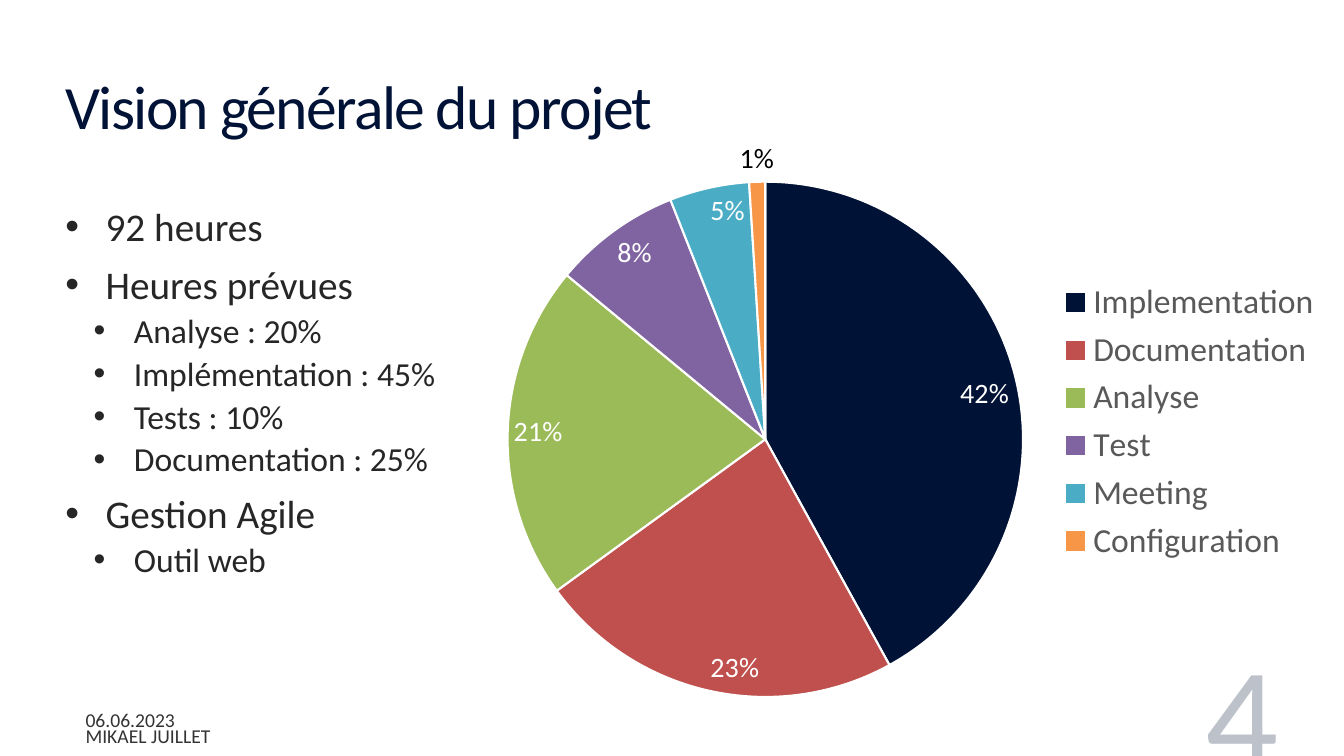
from lxml import etree
from pptx import Presentation
from pptx.chart.data import CategoryChartData
from pptx.dml.color import RGBColor
from pptx.enum.chart import XL_CHART_TYPE, XL_LABEL_POSITION, XL_LEGEND_POSITION
from pptx.enum.text import MSO_ANCHOR, PP_ALIGN
from pptx.oxml import parse_xml
from pptx.oxml.ns import nsdecls, qn
from pptx.util import Inches, Pt

FONT = "Calibri"
NAVY = "001236"


def color(value):
    return RGBColor.from_string(value)


def add_text(frame, text, size, fill, first=True, align=PP_ALIGN.LEFT, line=1.0,
             before=0, indent=None, alpha=None, spacing=None):
    para = frame.paragraphs[0] if first else frame.add_paragraph()
    if indent is not None:
        props = para._p.get_or_add_pPr()
        props.set("marL", str(Inches(indent)))
        props.set("indent", str(Inches(-0.4)))
        etree.SubElement(props, qn("a:buFont")).set("typeface", "Arial")
        etree.SubElement(props, qn("a:buChar")).set("char", "•")
    para.alignment = align
    para.line_spacing = line
    para.space_before = Pt(0 if first else before)
    span = para.add_run()
    span.text = text
    span.font.name = FONT
    span.font.size = Pt(size)
    span.font.color.rgb = color(fill)
    if alpha:
        tint = span._r.rPr.find(".//" + qn("a:srgbClr"))
        etree.SubElement(tint, qn("a:alpha")).set("val", str(alpha * 1000))
    if spacing:
        span._r.rPr.set("spc", str(int(spacing * 100)))


deck = Presentation()
deck.slide_width, deck.slide_height = Inches(13.33), Inches(7.5)
page = deck.slides.add_slide(deck.slide_layouts[6])

# Title, footer and page number
labels = [
    ("Vision générale du projet", (0.55, 0.52, 11.13, 1.15), MSO_ANCHOR.MIDDLE,
     dict(size=44, fill=NAVY, line=0.85, spacing=-1.2)),
    ("06.06.2023", (0.75, 7.01, 4.5, 0.25), MSO_ANCHOR.MIDDLE,
     dict(size=14, fill="000000", alpha=80)),
    ("MIKAEL JUILLET", (0.75, 7.17, 5.5, 0.25), MSO_ANCHOR.MIDDLE,
     dict(size=14, fill="000000", alpha=80)),
    ("4", (9.58, 6.43, 3.2, 1.53), MSO_ANCHOR.BOTTOM,
     dict(size=103, fill=NAVY, alpha=25, align=PP_ALIGN.RIGHT)),
]
for text, place, anchor, style in labels:
    box = page.shapes.add_textbox(*map(Inches, place))
    box.text_frame.word_wrap = True
    box.text_frame.vertical_anchor = anchor
    add_text(box.text_frame, text, **style)

# Pie chart of hours spent
hours = {
    "Implementation": (42, NAVY),
    "Documentation": (23, "C0504D"),
    "Analyse": (21, "9BBB59"),
    "Test": (8, "8064A2"),
    "Meeting": (5, "4BACC6"),
    "Configuration": (1, "F79646"),
}
data = CategoryChartData()
data.categories = list(hours)
data.add_series("Series 1", [value for value, _ in hours.values()])
chart = page.shapes.add_chart(XL_CHART_TYPE.PIE, Inches(4.69), Inches(1.28),
                              Inches(8.53), Inches(5.81), data).chart
chart.has_title = False
chart.font.name = FONT
chart.font.size = Pt(10)
chart.has_legend = True
chart.legend.position = XL_LEGEND_POSITION.RIGHT
chart.legend.include_in_layout = False
chart.legend.font.name = FONT
chart.legend.font.size = Pt(24)
chart.legend.font.color.rgb = color("595959")

plot = chart.plots[0]
plot.vary_by_categories = True
series = plot.series[0]
for index, (_, fill) in enumerate(hours.values()):
    part = series.points[index].format
    part.fill.solid()
    part.fill.fore_color.rgb = color(fill)
    part.line.color.rgb = color("FFFFFF")
    part.line.width = Pt(1.5)

# Percent labels, the smallest slice labelled outside
percents = series.data_labels
percents.show_percentage = True
percents.show_value = False
percents.number_format = "0%"
percents.number_format_is_linked = False
percents.position = XL_LABEL_POSITION.INSIDE_END
smallest = series.points[len(hours) - 1].data_label
for font, fill in ((percents.font, "FFFFFF"), (smallest.font, "000000")):
    font.name = FONT
    font.size = Pt(20)
    font.color.rgb = color(fill)
smallest.position = XL_LABEL_POSITION.OUTSIDE_END
for tag, shown in (("showVal", "0"), ("showPercent", "1")):
    for flag in chart._chartSpace.xpath(f".//c:dLbl/c:{tag}"):
        flag.set("val", shown)

# Place of the pie inside the chart
area = chart._chartSpace.chart.plotArea
for layout in area.findall(qn("c:layout")):
    area.remove(layout)
area.insert(0, parse_xml(
    f'<c:layout {nsdecls("c")}><c:manualLayout><c:layoutTarget val="inner"/>'
    '<c:xMode val="edge"/><c:yMode val="edge"/><c:x val="0.04"/><c:y val="0.09"/>'
    '<c:w val="0.6"/><c:h val="0.88"/></c:manualLayout></c:layout>'))

# Bullet list
bullets = [
    (0, "92 heures"),
    (0, "Heures prévues"),
    (1, "Analyse : 20%"),
    (1, "Implémentation : 45%"),
    (1, "Tests : 10%"),
    (1, "Documentation : 25%"),
    (0, "Gestion Agile"),
    (1, "Outil web"),
]
box = page.shapes.add_textbox(Inches(0.55), Inches(2.03), Inches(5.23), Inches(4.32))
box.text_frame.word_wrap = True
for index, (level, text) in enumerate(bullets):
    add_text(box.text_frame, text, size=(28, 24)[level], fill="262626", first=index == 0,
             line=0.85, before=(13, 6)[level], indent=(0.4, 0.68)[level])

deck.save("out.pptx")
